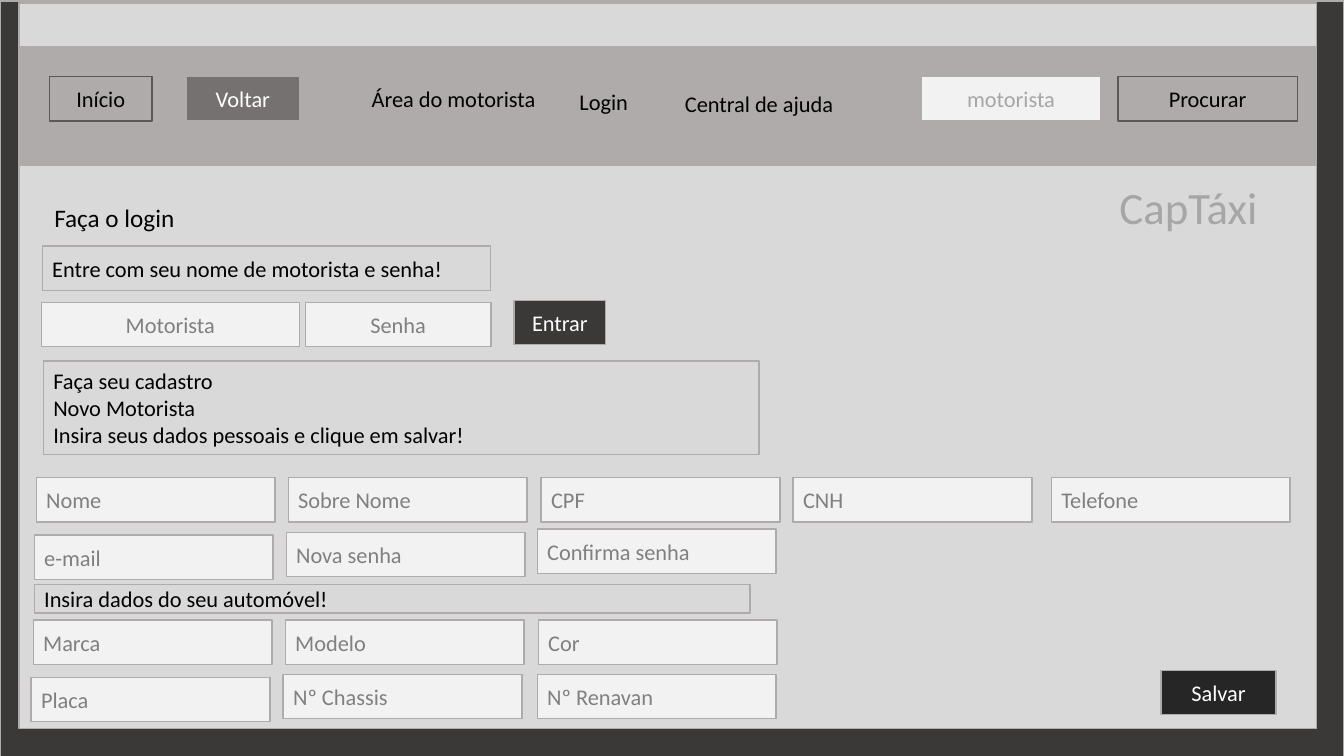
from pptx import Presentation
from pptx.dml.color import RGBColor
from pptx.enum.shapes import MSO_SHAPE as Preset
from pptx.enum.text import MSO_ANCHOR as Anchor, MSO_AUTO_SIZE as AutoSize, PP_ALIGN as Align
from pptx.util import Pt

BLACK = RGBColor(0x00, 0x00, 0x00)
WHITE = RGBColor(0xFF, 0xFF, 0xFF)
CHARCOAL = RGBColor(0x3B, 0x38, 0x38)
NEAR_BLACK = RGBColor(0x26, 0x26, 0x26)
TAUPE = RGBColor(0xAF, 0xAB, 0xAB)
DARK_TAUPE = RGBColor(0x76, 0x71, 0x71)
PAGE_GREY = RGBColor(0xD9, 0xD9, 0xD9)
FIELD_GREY = RGBColor(0xF2, 0xF2, 0xF2)
HINT_GREY = RGBColor(0x80, 0x80, 0x80)
PALE_GREY = RGBColor(0xA6, 0xA6, 0xA6)
BORDER_GREY = RGBColor(0x59, 0x59, 0x59)

FONT = "Calibri"
ROW_HEIGHT = 31.7
FIELD_WIDTH = 170.6
MENU_TOP = 54.7

# Registration fields: label, left, top
PERSONAL_FIELDS = [
    ("Nome", 25.9, 341.3), ("Sobre Nome", 205.9, 341.3), ("CPF", 386.6, 341.3),
    ("CNH", 566.6, 341.3), ("Telefone", 751, 341.3),
    ("e-mail", 24.5, 382.3), ("Nova senha", 204.5, 380.2), ("Confirma senha", 383.8, 378),
]
CAR_FIELDS = [
    ("Marca", 23.8, 442.8), ("Modelo", 203.8, 442.8), ("Cor", 384.5, 442.8),
    ("Placa", 22.3, 483.8), ("Nº Chassis", 202.3, 481.7), ("Nº Renavan", 383.8, 481.7),
]


def write(frame, text, size=16, color=BLACK, align=Align.LEFT, anchor=Anchor.MIDDLE, wrap=True):
    """Fill a text frame, one paragraph per line of text."""
    frame.word_wrap = wrap
    frame.vertical_anchor = anchor
    frame.text = text
    for line in frame.paragraphs:
        line.alignment = align
        line.font.name = FONT
        line.font.size = Pt(size)
        line.font.color.rgb = color


def add_box(slide, left, top, width, height=ROW_HEIGHT, text="", fill=None, border=TAUPE, **style):
    box = slide.shapes.add_shape(Preset.RECTANGLE, Pt(left), Pt(top), Pt(width), Pt(height))
    box.shadow.inherit = False
    if fill is None:
        box.fill.background()
    else:
        box.fill.solid()
        box.fill.fore_color.rgb = fill
    box.line.color.rgb = border
    box.line.width = Pt(1)
    if text:
        write(box.text_frame, text, **style)


def add_label(slide, left, top, width, height, text, **style):
    label = slide.shapes.add_textbox(Pt(left), Pt(top), Pt(width), Pt(height))
    write(label.text_frame, text, **style)
    return label


def add_button(slide, left, top, width, text, color=BLACK, **look):
    add_box(slide, left, top, width, text=text, color=color, align=Align.CENTER, **look)


def add_field(slide, left, top, text, width=FIELD_WIDTH, color=HINT_GREY, align=Align.LEFT):
    add_box(slide, left, top, width, text=text, fill=FIELD_GREY, color=color, align=align)


def main():
    deck = Presentation()
    deck.slide_width, deck.slide_height = Pt(960), Pt(540)
    slide = deck.slides.add_slide(deck.slide_layouts[6])

    # Window frame, page and menu band
    add_box(slide, 0, 0.7, 960, 540, fill=CHARCOAL)
    add_box(slide, 13.7, 2.2, 926.6, 518.4, fill=PAGE_GREY)
    add_box(slide, 14.4, 33.1, 925.9, 85, fill=TAUPE)

    # Menu
    add_button(slide, 35.3, MENU_TOP, 73.4, "Início", border=BORDER_GREY)
    add_button(slide, 133.2, MENU_TOP, 80.6, "Voltar", color=WHITE, fill=DARK_TAUPE)
    add_button(slide, 255.6, MENU_TOP, 136.8, "Área do motorista")
    add_button(slide, 385.9, 56.9, 90.7, "Login")
    add_button(slide, 473.8, 58.3, 136.8, "Central de ajuda")
    add_field(slide, 658.1, MENU_TOP, "motorista", width=128.2, color=PALE_GREY, align=Align.CENTER)
    add_button(slide, 798.5, MENU_TOP, 128.2, "Procurar", border=BORDER_GREY)

    # Site name
    add_label(slide, 776.2, 108, 145.4, 78.5, "CapTáxi", size=32, color=PALE_GREY, align=Align.CENTER)

    # Login
    heading = add_label(slide, 31.7, 141.1, 101.5, 28.8, "Faça o login",
                        size=18, anchor=Anchor.TOP, wrap=False)
    heading.text_frame.auto_size = AutoSize.SHAPE_TO_FIT_TEXT
    add_box(slide, 30.2, 175.7, 320.4, text="Entre com seu nome de motorista e senha!")
    add_field(slide, 29.5, 216, "Motorista", width=184.3, align=Align.CENTER)
    add_field(slide, 218.2, 216, "Senha", width=132.5, align=Align.CENTER)
    add_button(slide, 367.2, 214.6, 65.5, "Entrar", color=WHITE, fill=CHARCOAL)

    # Registration
    add_box(slide, 31, 257.8, 511.2, 67,
            "Faça seu cadastro\nNovo Motorista\nInsira seus dados pessoais e clique em salvar!")
    add_box(slide, 24.5, 417.6, 511.2, 20.2, "Insira dados do seu automóvel!")
    for label, left, top in PERSONAL_FIELDS + CAR_FIELDS:
        add_field(slide, left, top, label)
    add_button(slide, 829.4, 478.8, 82.1, "Salvar", color=WHITE, fill=NEAR_BLACK)

    deck.save("out.pptx")


if __name__ == "__main__":
    main()
